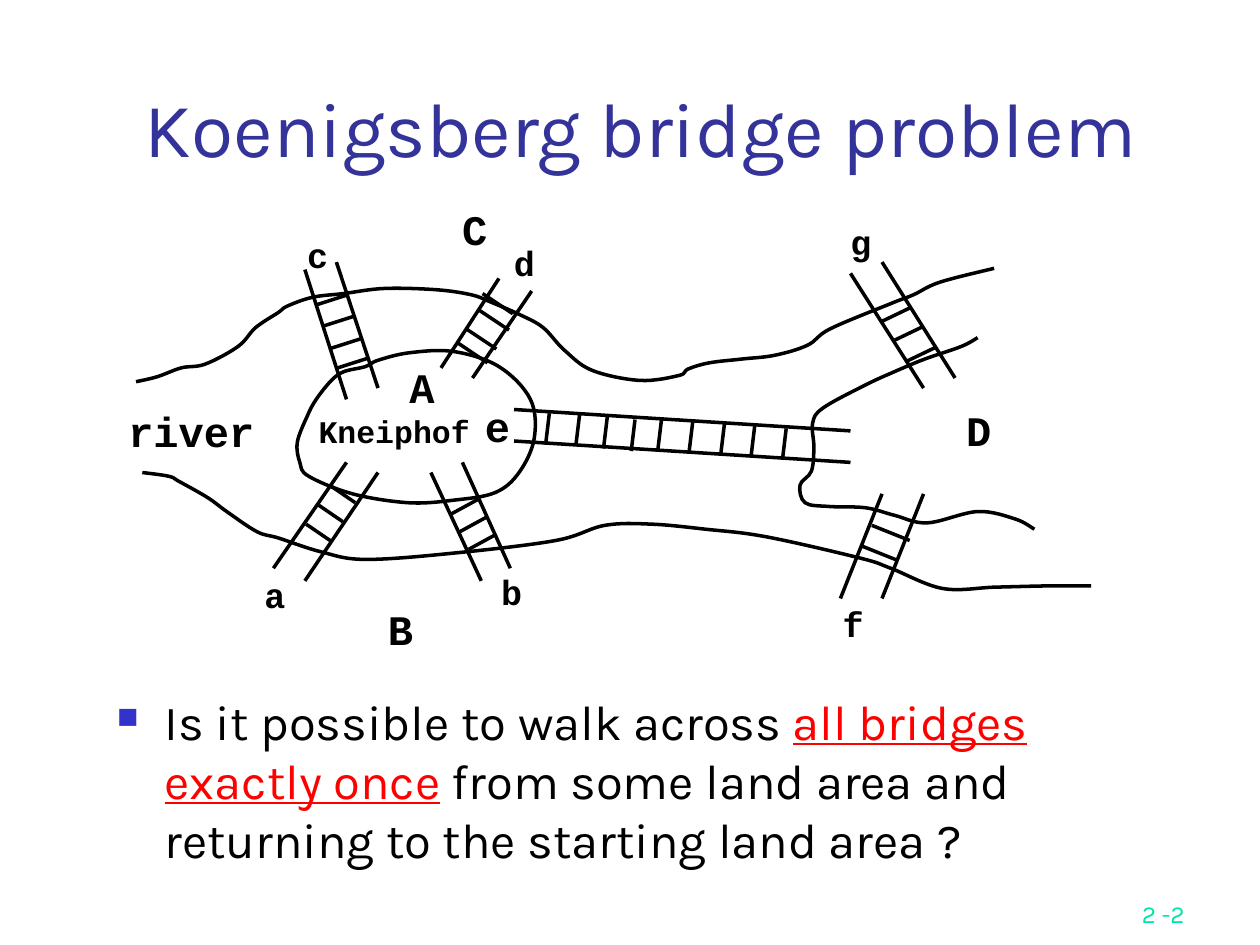
from dataclasses import dataclass

from lxml.etree import SubElement
from pptx import Presentation
from pptx.dml.color import RGBColor as RGB
from pptx.enum.shapes import MSO_CONNECTOR as CONN
from pptx.enum.text import MSO_ANCHOR as ANCHOR, PP_ALIGN as ALIGN
from pptx.oxml.ns import qn
from pptx.util import Inches, Pt


@dataclass(frozen=True)
class Theme:
    """Colours, fonts and sizes of the slide."""
    ink: str = "000000"
    title: str = "333399"
    bullet: str = "3333CC"
    accent: str = "FF0000"
    page: str = "00E4A8"
    body_font: str = "Karla"
    map_font: str = "Courier New"
    title_size: int = 44
    body_size: int = 28
    area_size: int = 24
    bridge_size: int = 20
    island_size: int = 18
    page_size: int = 14
    stroke: int = 2


T = Theme()


@dataclass(frozen=True)
class Box:
    """A region of the slide in inches."""
    left: float
    top: float
    width: float
    height: float

    def at(self, x, y):
        """Return the slide position of a point inside the box."""
        return Inches(self.left + x), Inches(self.top + y)

    def frame(self):
        """Return left, top, width and height as lengths."""
        return tuple(map(Inches, (self.left, self.top, self.width, self.height)))


@dataclass(frozen=True)
class Bridge:
    """Two rails, and rungs that share one span."""
    name: str
    label: tuple
    rails: tuple
    span: tuple
    rungs: tuple
    size: int = T.bridge_size


BRIDGES = (
    Bridge("a", (1.5, 3), ((2.25, 2.17, 1.67, 3.01), (2.5, 2.25, 1.92, 3.11)),
           (0.19, 0.13), ((2.13, 2.36), (2.03, 2.51), (1.93, 2.66))),
    Bridge("b", (3.38, 2.98), ((2.92, 2.25, 3.32, 3.11), (3.17, 2.17, 3.55, 3.01)),
           (0.22, -0.12), ((3.08, 2.58), (3.15, 2.72), (3.22, 2.86))),
    Bridge("c", (1.84, 0.3), ((2.25, 1.67, 1.92, 0.64), (2.5, 1.58, 2.17, 0.58)),
           (0.25, -0.08), ((2.01, 0.92), (2.06, 1.09), (2.11, 1.27), (2.18, 1.42))),
    Bridge("d", (3.48, 0.37), ((3, 1.42, 3.46, 0.71), (3.25, 1.5, 3.72, 0.81)),
           (0.24, 0.16), ((3.33, 0.83), (3.3, 0.96), (3.2, 1.11), (3.13, 1.22))),
    Bridge("e", (3.25, 1.63), ((3.58, 1.75, 6.25, 1.92), (3.58, 2, 6.25, 2.17)),
           (-0.03, 0.25), ((3.86, 1.78), (4.1, 1.79), (4.32, 1.81), (4.54, 1.83), (4.75, 1.83),
                           (5, 1.83), (5.25, 1.86), (5.49, 1.88), (5.74, 1.9)), T.area_size),
    Bridge("f", (6.09, 3.23), ((6.5, 2.42, 6.17, 3.25), (6.83, 2.42, 6.5, 3.25)),
           (0.3, 0.12), ((6.33, 2.83), (6.42, 2.67))),
    Bridge("g", (6.15, 0.2), ((6.83, 1.58, 6.25, 0.67), (7.08, 1.5, 6.5, 0.58)),
           (0.23, -0.11), ((6.5, 1.05), (6.6, 1.2), (6.69, 1.37))),
)

ISLAND = ((2.4, 1.41), (2.23, 1.45), (2.13, 1.52), (2.01, 1.67), (1.94, 1.8), (1.86, 2.01),
          (1.88, 2.17), (1.95, 2.28), (2.3, 2.42), (2.74, 2.49), (3.1, 2.47), (3.43, 2.41),
          (3.62, 2.25), (3.74, 1.98), (3.71, 1.67), (3.46, 1.41), (3.1, 1.29), (2.75, 1.3),
          (2.5, 1.36), (2.4, 1.41))
EAST_BANK = ((7.26, 1.18), (7.13, 1.25), (6.84, 1.35), (6.6, 1.45), (6.36, 1.56), (6.03, 1.74),
             (5.95, 1.86), (5.96, 2.05), (5.94, 2.24), (5.85, 2.35), (5.89, 2.49), (6.08, 2.52),
             (6.37, 2.53), (6.6, 2.59), (6.86, 2.65), (7.26, 2.56), (7.56, 2.62), (7.71, 2.7))
SOUTH_BANK = ((0.63, 2.25), (0.84, 2.28), (0.92, 2.32), (1.15, 2.45), (1.3, 2.56), (1.54, 2.72),
              (1.71, 2.77), (2.05, 2.88), (2.4, 2.94), (3.1, 2.89), (3.91, 2.79), (4.3, 2.67),
              (4.67, 2.66), (5.1, 2.7), (5.58, 2.76), (6.33, 2.93), (6.57, 3.01), (6.98, 3.17),
              (7.4, 3.16), (7.82, 3.15), (8.16, 3.15))
NORTH_BANK = ((0.58, 1.53), (0.75, 1.49), (0.94, 1.42), (1.13, 1.39), (1.39, 1.25), (1.53, 1.1),
              (1.71, 0.98), (1.78, 0.93), (1.98, 0.86), (2.23, 0.83), (2.55, 0.79), (2.96, 0.8),
              (3.24, 0.84), (3.4, 0.9), (3.63, 1), (3.81, 1.1), (3.98, 1.28), (4.2, 1.44),
              (4.58, 1.52), (4.89, 1.48), (4.96, 1.43), (5.13, 1.38), (5.39, 1.35), (5.65, 1.32),
              (5.91, 1.24), (6.09, 1.11), (6.57, 0.91), (6.75, 0.84), (6.96, 0.74), (7.39, 0.63))

AREAS = (("river", (0.42, 1.67), 1.2, T.area_size), ("A", (2.65, 1.32), 0.4, T.area_size),
         ("D", (7.07, 1.66), 0.4, T.area_size), ("B", (2.48, 3.24), 0.4, T.area_size),
         ("C", (3.07, 0.07), 0.4, T.area_size), ("Kneiphof", (1.93, 1.72), 1.4, T.island_size))


def add_run(p, text, size, color=T.ink, font=T.body_font, bold=False, underline=False):
    """Append a formatted run to a paragraph."""
    r = p.add_run()
    r.text = text
    r.font.size, r.font.name = Pt(size), font
    r.font.bold, r.font.underline = bold, underline
    r.font.color.rgb = RGB.from_string(color)


def add_line(group, box, x1, y1, x2, y2):
    """Draw a straight stroke between two points of the box."""
    line = group.shapes.add_connector(CONN.STRAIGHT, *box.at(x1, y1), *box.at(x2, y2))
    line.line.color.rgb = RGB.from_string(T.ink)
    line.line.width = Pt(T.stroke)
    SubElement(line._element.spPr, qn("a:effectLst"))


def round_corners(sp):
    """Turn the straight segments of a freeform into Bezier curves."""
    pts = [(int(pt.get("x")), int(pt.get("y"))) for pt in sp._element.iter(qn("a:pt"))]
    closed = pts[0] == pts[-1]
    padded = [pts[-2] if closed else pts[0], *pts, pts[1] if closed else pts[-1]]
    segments = list(sp._element.iter(qn("a:lnTo")))
    for segment, a, b, c, d in zip(segments, padded, padded[1:], padded[2:], padded[3:]):
        start = [q + (r - p) / 6 for p, q, r in zip(a, b, c)]
        end = [q - (r - p) / 6 for p, q, r in zip(b, c, d)]
        curve = segment.getparent().makeelement(qn("a:cubicBezTo"))
        for x, y in (start, end, c):
            SubElement(curve, qn("a:pt"), x=str(round(x)), y=str(round(y)))
        segment.getparent().replace(segment, curve)


def add_shore(group, box, points):
    """Draw a smooth shoreline inside the box."""
    first, *rest = [box.at(*pt) for pt in points]
    builder = group.shapes.build_freeform(*first)
    builder.add_line_segments(rest, close=points[0] == points[-1])
    sp = builder.convert_to_shape()
    round_corners(sp)
    sp.shadow.inherit = False
    sp.fill.background()
    sp.line.color.rgb = RGB.from_string(T.ink)
    sp.line.width = Pt(T.stroke)


def add_label(group, box, text, pos, width, size):
    """Write a bold map label inside the box."""
    sp = group.shapes.add_textbox(*box.at(*pos), Inches(width), Inches(size / 60 + 0.1))
    sp.text_frame.word_wrap = False
    add_run(sp.text_frame.paragraphs[0], text, size, font=T.map_font, bold=True)


def add_map(s, box):
    """Draw the river, its seven bridges and the land areas as one group."""
    group = s.shapes.add_group_shape()
    for shore in (ISLAND, EAST_BANK, SOUTH_BANK, NORTH_BANK):
        add_shore(group, box, shore)
    for b in BRIDGES:
        for rail in b.rails:
            add_line(group, box, *rail)
        for x, y in b.rungs:
            add_line(group, box, x, y, x + b.span[0], y + b.span[1])
    for b in BRIDGES:
        add_label(group, box, b.name, b.label, 0.4 if b.size == T.area_size else 0.36, b.size)
    for area in AREAS:
        add_label(group, box, *area)


def add_title(s, box):
    """Place and format the title placeholder."""
    sp = s.shapes.title
    sp.left, sp.top, sp.width, sp.height = box.frame()
    sp.text_frame.vertical_anchor = ANCHOR.BOTTOM
    p = sp.text_frame.paragraphs[0]
    p.alignment = ALIGN.CENTER
    add_run(p, "Koenigsberg bridge problem", T.title_size, T.title)


def add_question(s, box):
    """Write the bulleted question at the foot of the box."""
    tf = s.shapes.add_textbox(*box.frame()).text_frame
    tf.word_wrap, tf.vertical_anchor = True, ANCHOR.BOTTOM
    p = tf.paragraphs[0]
    pPr = p._p.get_or_add_pPr()
    pPr.set("marL", str(Inches(0.38)))
    pPr.set("indent", str(-Inches(0.38)))
    SubElement(SubElement(pPr, qn("a:buClr")), qn("a:srgbClr"), val=T.bullet)
    SubElement(pPr, qn("a:buSzPct"), val="60000")
    SubElement(pPr, qn("a:buChar"), char="■")
    add_run(p, "Is it possible to walk across ", T.body_size)
    add_run(p, "all bridges exactly once", T.body_size, T.accent, underline=True)
    add_run(p, " from some land area and returning to the starting land area ?", T.body_size)


def add_page_number(s, box):
    """Write the page number at the lower right."""
    tf = s.shapes.add_textbox(*box.frame()).text_frame
    tf.word_wrap, tf.vertical_anchor = True, ANCHOR.BOTTOM
    p = tf.paragraphs[0]
    p.alignment = ALIGN.RIGHT
    add_run(p, "2 -2", T.page_size, T.page)


def main():
    """Build and save the slide."""
    prs = Presentation()
    prs.slide_width, prs.slide_height = Inches(10), Inches(7.5)
    s = prs.slides.add_slide(prs.slide_layouts[5])
    add_page_number(s, Box(7.42, 6.92, 2.08, 0.5))
    add_title(s, Box(0.83, 0.42, 8.52, 1))
    add_question(s, Box(0.83, 1.67, 8.5, 5.27))
    add_map(s, Box(0.5, 1.5, 8.5, 3.75))
    prs.save("out.pptx")


if __name__ == "__main__":
    main()
